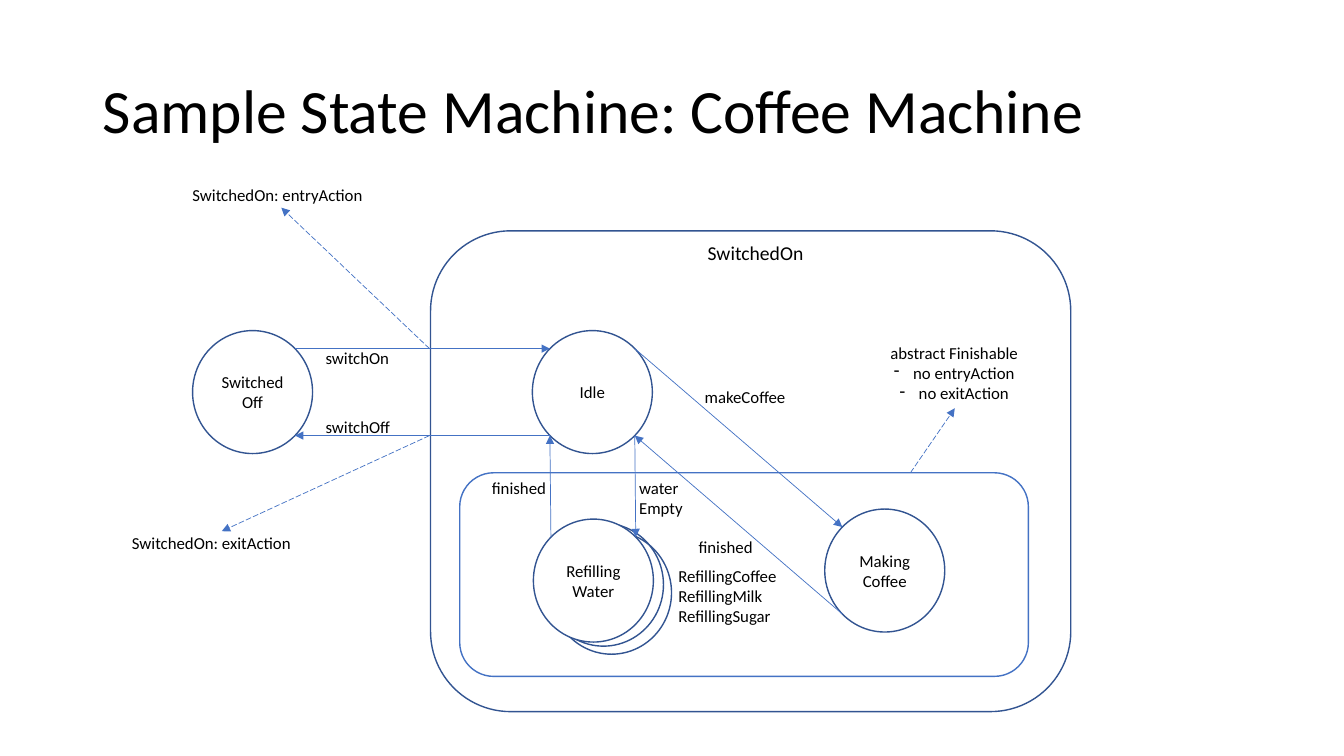
from collections import namedtuple

from lxml.etree import SubElement
from pptx import Presentation
from pptx.dml.color import RGBColor
from pptx.enum.dml import MSO_LINE
from pptx.enum.shapes import MSO_CONNECTOR, MSO_SHAPE
from pptx.enum.text import MSO_ANCHOR, MSO_AUTO_SIZE, PP_ALIGN
from pptx.oxml.ns import qn
from pptx.util import Inches, Pt

COLORS = {"text": "000000", "state": "325491", "accent": "4472C4", "paper": "FFFFFF"}
FONT = "Calibri"
CELL = Inches(0.1)
DIAMETER = (11.9, 12.2)
LABEL_W = 10.9
Box = namedtuple("Box", "x y w h")


def rgb(name):
    """Look up a named colour."""
    return RGBColor.from_string(COLORS[name])


def grid(*cells):
    """Turn grid cells into lengths."""
    return [round(c * CELL) for c in cells]


def inside(box, x, y, w=0, h=0):
    """Give a box placed relative to the corner of another."""
    return Box(box.x + x, box.y + y, w, h)


def write(tf, lines, size=12, align=PP_ALIGN.LEFT):
    """Fill a text frame with one paragraph per line."""
    tf.word_wrap = True
    for i, line in enumerate(lines):
        p = tf.add_paragraph() if i else tf.paragraphs[0]
        p.alignment = align
        r = p.add_run()
        r.text = line
        r.font.size = Pt(size)
        r.font.name = FONT
        r.font.color.rgb = rgb("text")


def label(s, box, x, y, *lines, w=LABEL_W, size=12, align=PP_ALIGN.LEFT):
    """Add a text box relative to a region."""
    h = 1 + len(lines) * size / 6
    sp = s.shapes.add_textbox(*grid(*inside(box, x, y, w, h)))
    write(sp.text_frame, lines, size, align)
    return sp


def outline(s, kind, box, color="state", fill=None):
    """Add an outlined preset shape."""
    sp = s.shapes.add_shape(kind, *grid(*box))
    sp.shadow.inherit = False
    sp.line.color.rgb = rgb(color)
    sp.line.width = Pt(1)
    if fill:
        sp.fill.solid()
        sp.fill.fore_color.rgb = rgb(fill)
    else:
        sp.fill.background()
    return sp


def state(s, box, x, y, *lines, fill=None):
    """Add a state circle and return its box."""
    circle = inside(box, x, y, *DIAMETER)
    sp = outline(s, MSO_SHAPE.OVAL, circle, fill=fill)
    sp.text_frame.vertical_anchor = MSO_ANCHOR.MIDDLE
    if lines:
        write(sp.text_frame, lines, align=PP_ALIGN.CENTER)
    return circle


def rim(circle, side, level):
    """Give the diagonal point of a circle; side and level are -1 or 1."""
    reach = 0.5 ** 0.5
    return (circle.x + circle.w / 2 * (1 + side * reach),
            circle.y + circle.h / 2 * (1 + level * reach))


def arrow(s, start, end, dashed=False):
    """Draw a thin arrow between two grid points."""
    c = s.shapes.add_connector(MSO_CONNECTOR.STRAIGHT, *grid(*start, *end))
    c.line.color.rgb = rgb("accent")
    c.line.width = Pt(0.5)
    if dashed:
        c.line.dash_style = MSO_LINE.LONG_DASH
    SubElement(c.line._get_or_add_ln(), qn("a:tailEnd"), type="triangle")
    SubElement(c._element.spPr, qn("a:effectLst"))


def bullet(p):
    """Give a paragraph a hanging dash."""
    pPr = p._p.get_or_add_pPr()
    pPr.set("marL", str(Inches(0.19)))
    pPr.set("indent", str(-Inches(0.19)))
    SubElement(pPr, qn("a:buChar"), char="-")


def title(s, box, text):
    """Place and fill the title placeholder."""
    sp = s.shapes.title
    sp.left, sp.top, sp.width, sp.height = grid(*box)
    tf = sp.text_frame
    write(tf, [text], 44)
    tf.auto_size = MSO_AUTO_SIZE.NONE
    tf.vertical_anchor = MSO_ANCHOR.MIDDLE
    tf.paragraphs[0].line_spacing = 0.9


def switched_on(s, box):
    """Draw the composite state and return its idle state."""
    outline(s, MSO_SHAPE.ROUNDED_RECTANGLE, box)
    label(s, box, 26.5, 0.5, "SwitchedOn", w=16.7, size=14)
    label(s, box, 26.2, 15, "makeCoffee")
    return state(s, box, 10.1, 9.9, "Idle")


def finishable(s, box, idle):
    """Draw the finishable states and their transitions with idle."""
    outline(s, MSO_SHAPE.ROUNDED_RECTANGLE, box, "accent")
    making = state(s, box, 36.2, 3.6, "Making", "Coffee")
    for x, y in ((8.3, 5), (9.1, 5.8)):
        state(s, box, x, y)
    refilling = state(s, box, 7.3, 4.6, "Refilling Water", fill="paper")
    arrow(s, rim(idle, 1, -1), rim(making, -1, -1))
    arrow(s, rim(making, -1, 1), rim(idle, 1, 1))
    arrow(s, rim(idle, 1, 1), rim(refilling, 1, -1))
    arrow(s, rim(refilling, -1, -1), rim(idle, -1, 1))
    label(s, box, 2.2, 0, "finished")
    label(s, box, 16.8, 0, "water", "Empty")
    label(s, box, 22.7, 5.9, "finished")
    label(s, box, 20.7, 8.7, "RefillingCoffee", "RefillingMilk", "RefillingSugar", w=12.7)
    note = label(s, box, 37.9, -13.4, "abstract Finishable", "no entryAction",
                 "no exitAction", w=22.3, align=PP_ALIGN.CENTER)
    for p in note.text_frame.paragraphs[1:]:
        bullet(p)
    arrow(s, inside(box, 44.7, 0)[:2], inside(box, 49.1, -6.4)[:2], dashed=True)


def switched_off(s, box, idle):
    """Draw the off state, its transitions and the action notes."""
    off = state(s, box, 7, 15, "Switched", "Off")
    arrow(s, rim(off, 1, -1), rim(idle, -1, -1))
    arrow(s, rim(idle, -1, 1), rim(off, 1, 1))
    label(s, box, 19.2, 16.2, "switchOn")
    label(s, box, 19.2, 23.1, "switchOff")
    label(s, box, 6, 0, "SwitchedOn: entryAction", w=37.8)
    label(s, box, 0, 34.6, "SwitchedOn: exitAction", w=37.8)
    edge = box.x + box.w
    arrow(s, (edge, rim(off, 1, -1)[1]), inside(box, 15.8, 2.8)[:2], dashed=True)
    arrow(s, (edge, rim(off, 1, 1)[1]), inside(box, 9.9, 34.9)[:2], dashed=True)


def main():
    """Build the slide and save it."""
    prs = Presentation()
    prs.slide_width, prs.slide_height = Inches(13.33), Inches(7.5)
    s = prs.slides.add_slide(prs.slide_layouts[5])
    title(s, Box(9.2, 4, 115, 14.5), "Sample State Machine: Coffee Machine")
    on = Box(42.7, 22.9, 63.5, 47.7)
    idle = switched_on(s, on)
    finishable(s, inside(on, 2.9, 24, 56.4, 20.2), idle)
    switched_off(s, Box(12.1, 17.8, 30.5, 37.6), idle)
    prs.save("out.pptx")


main()
